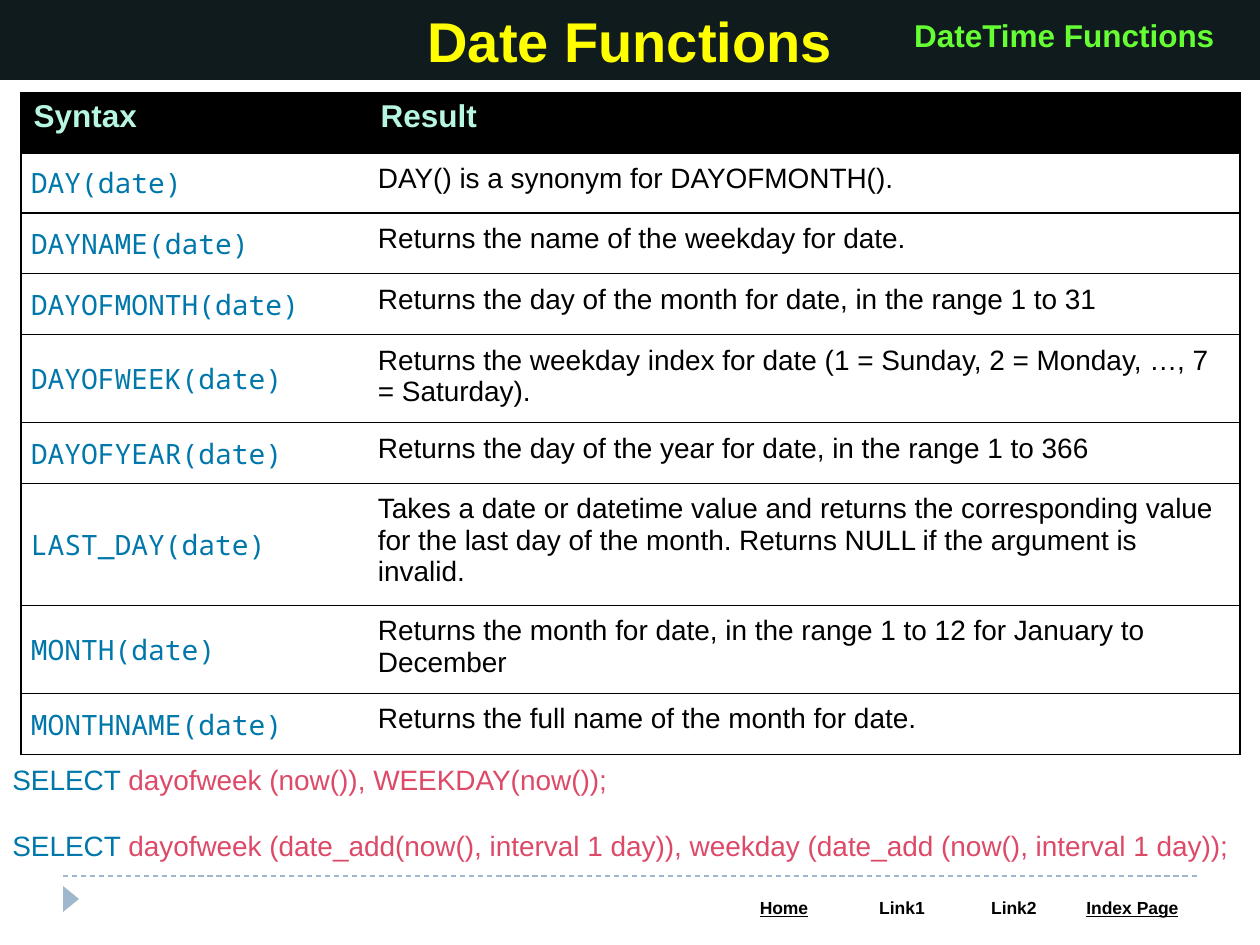
from dataclasses import dataclass

from lxml import etree
from pptx import Presentation
from pptx.dml.color import RGBColor
from pptx.enum.dml import MSO_LINE
from pptx.enum.shapes import MSO_CONNECTOR, MSO_SHAPE
from pptx.enum.text import MSO_ANCHOR, MSO_AUTO_SIZE, PP_ALIGN
from pptx.oxml.ns import qn
from pptx.util import Emu, Pt

PX_PER_INCH = 126
EMU_PER_INCH = 914400

LEFT, CENTER, RIGHT = PP_ALIGN.LEFT, PP_ALIGN.CENTER, PP_ALIGN.RIGHT
TOP, MIDDLE = MSO_ANCHOR.TOP, MSO_ANCHOR.MIDDLE
NO_AUTOSIZE = MSO_AUTO_SIZE.NONE
STRAIGHT = MSO_CONNECTOR.STRAIGHT
TRIANGLE = MSO_SHAPE.ISOSCELES_TRIANGLE
DASH = MSO_LINE.DASH

BLACK = RGBColor(0x00, 0x00, 0x00)
WHITE = RGBColor(0xFF, 0xFF, 0xFF)
BAR = RGBColor(0x10, 0x1B, 0x1D)
YELLOW = RGBColor(0xFF, 0xFF, 0x00)
GREEN = RGBColor(0x66, 0xFF, 0x33)
MINT = RGBColor(0xB7, 0xF7, 0xE2)
KEYWORD = RGBColor(0x00, 0x77, 0xAA)
CALL = RGBColor(0xDD, 0x4A, 0x68)
FOOTER = RGBColor(0x9F, 0xB8, 0xCD)

SANS = "Arial"
MONO = "Noto Sans Mono"


@dataclass(frozen=True)
class DateFunction:
    syntax: str
    result: str
    height: int


@dataclass(frozen=True)
class FooterLink:
    label: str
    width: int
    underline: bool = False


FUNCTIONS = [
    DateFunction("DAY(date)", "DAY() is a synonym for DAYOFMONTH().", 60),
    DateFunction("DAYNAME(date)", "Returns the name of the weekday for date.", 61),
    DateFunction("DAYOFMONTH(date)", "Returns the day of the month for date, in the range 1 to 31", 61),
    DateFunction(
        "DAYOFWEEK(date)",
        "Returns the weekday index for date (1 = Sunday, 2 = Monday, …, 7 = Saturday).",
        88,
    ),
    DateFunction("DAYOFYEAR(date)", "Returns the day of the year for date, in the range 1 to 366", 61),
    DateFunction(
        "LAST_DAY(date)",
        "Takes a date or datetime value and returns the corresponding value "
        "for the last day of the month. Returns NULL if the argument is invalid.",
        122,
    ),
    DateFunction(
        "MONTH(date)",
        "Returns the month for date, in the range 1 to 12 for January to December",
        88,
    ),
    DateFunction("MONTHNAME(date)", "Returns the full name of the month for date.", 61),
]
HEADER_HEIGHT = 60
COLUMN_WIDTHS = [347, 872]

LINKS = [
    FooterLink("Home", 118, True),
    FooterLink("Link1", 118),
    FooterLink("Link2", 106),
    FooterLink("Index Page", 131, True),
]

QUERIES = [
    "dayofweek (now()), WEEKDAY(now());",
    "dayofweek (date_add(now(), interval 1 day)), weekday (date_add (now(), interval 1 day));",
]


def px(length: int) -> Emu:
    return Emu(round(length * EMU_PER_INCH / PX_PER_INCH))


def add_text(para, text: str, *, size: int, color: RGBColor, font: str = SANS,
             bold: bool = False, underline: bool = False, align=LEFT) -> None:
    para.alignment = align
    span = para.add_run()
    span.text = text
    span.font.size = Pt(size)
    span.font.name = font
    span.font.bold = bold
    span.font.underline = underline
    span.font.color.rgb = color


def set_borders(cell, borders: dict[str, RGBColor | None]) -> None:
    properties = cell._tc.get_or_add_tcPr()
    for side in ("L", "R", "T", "B"):
        color = borders.get(side)
        line = etree.SubElement(properties, qn(f"a:ln{side}"), w=str(Pt(0.75)))
        if color is None:
            etree.SubElement(line, qn("a:noFill"))
        else:
            fill = etree.SubElement(line, qn("a:solidFill"))
            etree.SubElement(fill, qn("a:srgbClr"), val=str(color))


def fill_cell(cell, color: RGBColor) -> None:
    cell.fill.solid()
    cell.fill.fore_color.rgb = color


def add_grid(slide, left: int, top: int, widths: list[int], heights: list[int]):
    frame = slide.shapes.add_table(
        len(heights), len(widths), px(left), px(top), px(sum(widths)), px(sum(heights)))
    table = frame.table
    table.first_row = False
    table.horz_banding = False
    for column, width in zip(table.columns, widths):
        column.width = px(width)
    for row, height in zip(table.rows, heights):
        row.height = px(height)
    return table


def add_footer(slide) -> None:
    marker = slide.shapes.add_shape(TRIANGLE, px(58), px(891), px(26), px(16))
    marker.rotation = 90
    marker.shadow.inherit = False
    marker.fill.solid()
    marker.fill.fore_color.rgb = FOOTER
    marker.line.fill.background()

    rule = slide.shapes.add_connector(STRAIGHT, px(63), px(876), px(1197), px(876))
    rule.line.color.rgb = FOOTER
    rule.line.width = Pt(0.75)
    rule.line.dash_style = DASH
    etree.SubElement(rule._element.spPr, qn("a:effectLst"))

    table = add_grid(slide, 725, 892, [link.width for link in LINKS], [34])
    for cell, link in zip(table.rows[0].cells, LINKS):
        set_borders(cell, dict.fromkeys("LRTB", WHITE))
        fill_cell(cell, WHITE)
        add_text(cell.text_frame.paragraphs[0], link.label, size=10, color=BLACK,
                 bold=True, underline=link.underline, align=CENTER)


def add_title(slide) -> None:
    title = slide.shapes.title
    title.left, title.top, title.width, title.height = px(0), px(0), px(1260), px(80)
    title.fill.solid()
    title.fill.fore_color.rgb = BAR
    title.text_frame.auto_size = NO_AUTOSIZE
    title.text_frame.vertical_anchor = MIDDLE
    add_text(title.text_frame.paragraphs[0], "Date Functions", size=32,
             color=YELLOW, bold=True, align=CENTER)

    box = slide.shapes.add_textbox(px(898), px(10), px(329), px(50))
    box.text_frame.word_wrap = False
    add_text(box.text_frame.paragraphs[0], "DateTime Functions", size=18,
             color=GREEN, bold=True, align=RIGHT)


def add_function_table(slide) -> None:
    heights = [HEADER_HEIGHT] + [function.height for function in FUNCTIONS]
    table = add_grid(slide, 21, 93, COLUMN_WIDTHS, heights)
    for row in table.rows:
        for cell, side in zip(row.cells, "LR"):
            set_borders(cell, dict.fromkeys((side, "T", "B"), BLACK))
    for cell, label in zip(table.rows[0].cells, ("Syntax", "Result")):
        fill_cell(cell, BLACK)
        add_text(cell.text_frame.paragraphs[0], label, size=18, color=MINT, bold=True)
    for index, function in enumerate(FUNCTIONS, start=1):
        syntax, result = table.rows[index].cells
        for cell, anchor in ((syntax, MIDDLE), (result, TOP)):
            fill_cell(cell, WHITE)
            cell.vertical_anchor = anchor
            cell.margin_left = cell.margin_right = px(10)
            cell.margin_top = cell.margin_bottom = px(10)
        add_text(syntax.text_frame.paragraphs[0], function.syntax, size=16,
                 color=KEYWORD, font=MONO)
        add_text(result.text_frame.paragraphs[0], function.result, size=16, color=BLACK)


def add_queries(slide) -> None:
    box = slide.shapes.add_textbox(px(0), px(756), px(1250), px(115))
    frame = box.text_frame
    frame.word_wrap = True
    for index, query in enumerate(QUERIES):
        para = frame.add_paragraph() if index else frame.paragraphs[0]
        if index:
            para.space_before = Pt(19)
        add_text(para, "SELECT ", size=16, color=KEYWORD)
        add_text(para, query, size=16, color=CALL)


def main() -> None:
    deck = Presentation()
    deck.slide_width, deck.slide_height = px(1260), px(945)
    page = deck.slides.add_slide(deck.slide_layouts[5])
    add_footer(page)
    add_title(page)
    add_function_table(page)
    add_queries(page)
    deck.save("out.pptx")


if __name__ == "__main__":
    main()
